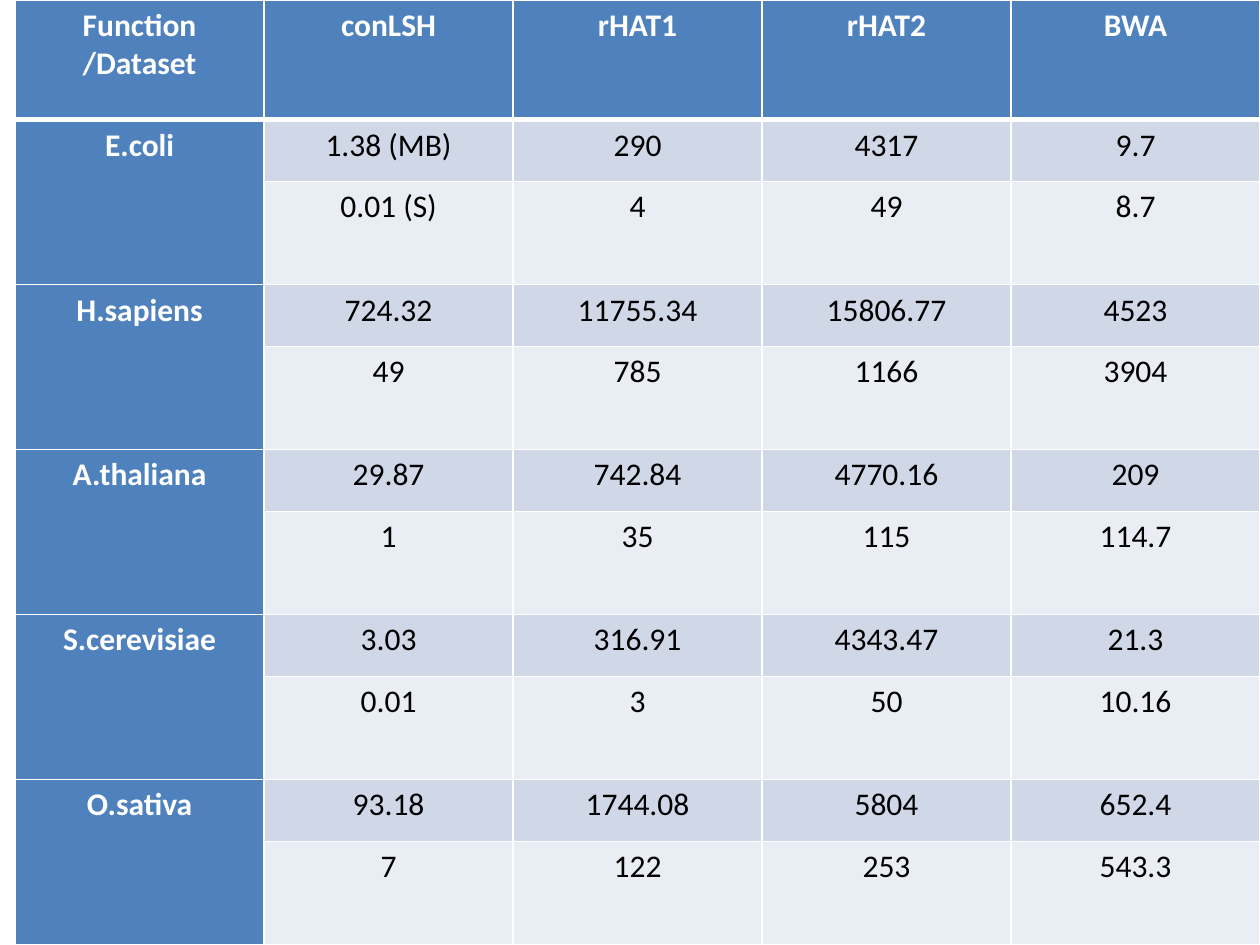
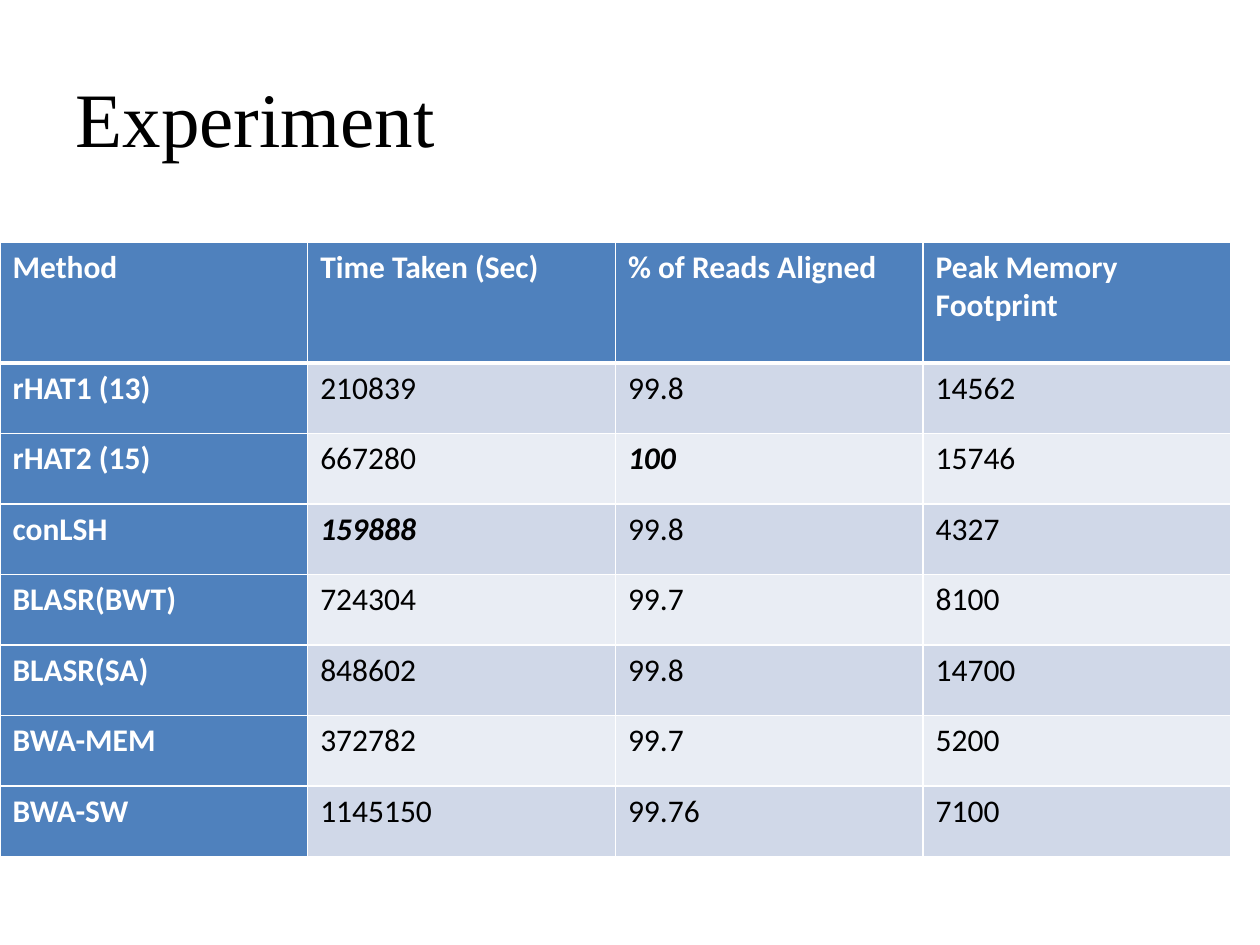
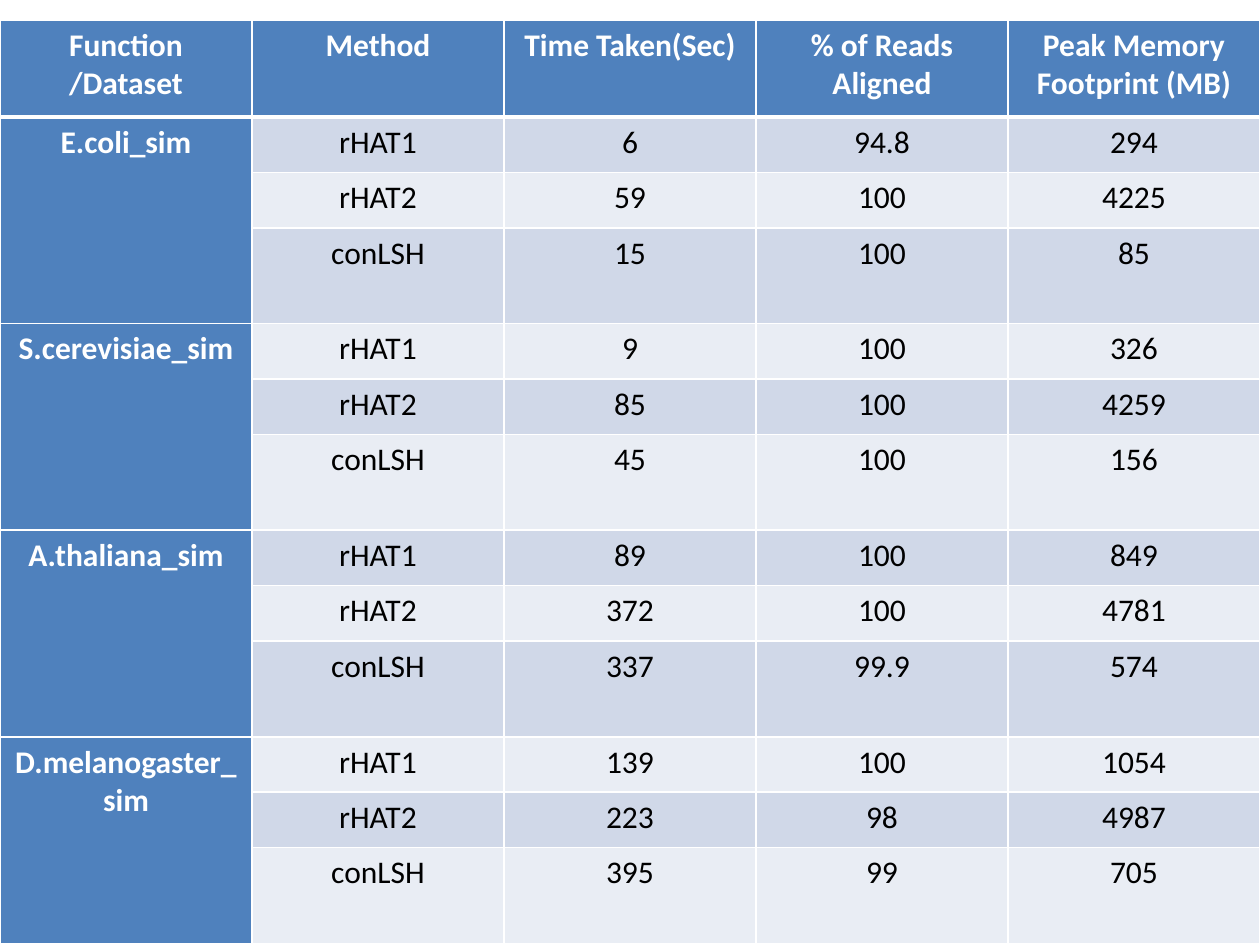
from dataclasses import dataclass

from lxml import etree
from pptx import Presentation
from pptx import util as u
from pptx.dml.color import RGBColor
from pptx.enum import text as t
from pptx.oxml import ns


@dataclass(frozen=True)
class Theme:
    head: str = "4F81BD"
    bands: tuple = ("D0D8E8", "E9EDF4")
    light: str = "FFFFFF"
    dark: str = "000000"
    sans: str = "Calibri"
    serif: str = "Times New Roman"
    body: int = 18
    title: int = 44
    thin: int = 1
    thick: int = 3


def write(frame, words, font, size, color, bold=False, slant=False, align="LEFT"):
    for i, line in enumerate(words.split("\n")):
        para = frame.add_paragraph() if i else frame.paragraphs[0]
        para.alignment = getattr(t.PP_ALIGN, align)
        run = para.add_run()
        run.text = line
        run.font.name = font
        run.font.size = u.Pt(size)
        run.font.bold = bold
        run.font.italic = slant
        run.font.color.rgb = RGBColor.from_string(color)


def border(cell, side, width, color):
    line = etree.SubElement(cell._tc.get_or_add_tcPr(), ns.qn(f"a:ln{side}"), w=str(u.Pt(width)))
    fill = etree.SubElement(line, ns.qn("a:solidFill"))
    etree.SubElement(fill, ns.qn("a:srgbClr"), val=color)


class Deck:
    def __init__(self, theme):
        self.theme = theme
        self.show = Presentation()
        self.show.slide_width = u.Inches(10)
        self.show.slide_height = u.Inches(7.5)
        self.slide = None

    def page(self, title=None):
        self.slide = self.show.slides.add_slide(self.show.slide_layouts[5 if title else 6])
        if title:
            self.head(title)

    def head(self, words):
        box = self.slide.shapes.title
        box.left, box.top = u.Inches(0.5), u.Inches(0.3)
        box.width, box.height = u.Inches(9), u.Inches(1.25)
        box.text_frame.vertical_anchor = t.MSO_ANCHOR.MIDDLE
        write(box.text_frame, words, self.theme.serif, self.theme.title, self.theme.dark)

    def cell(self, cell, words, row, key, **form):
        th = self.theme
        for side in "LRTB":
            rule = (row, side) in ((0, "B"), (1, "T"))
            border(cell, side, th.thick if rule else th.thin, th.light)
        cell.fill.solid()
        shade = th.head if key else th.bands[(row - 1) % 2]
        cell.fill.fore_color.rgb = RGBColor.from_string(shade)
        if words:
            write(cell.text_frame, words, th.sans, th.body, th.light if key else th.dark, **form)

    def table(self, left, top, width, heights, rows, span=1, align="CENTER", strong=()):
        cols = len(rows[0])
        grid = self.slide.shapes.add_table(
            len(rows), cols, u.Inches(left), u.Inches(top),
            u.Inches(width), u.Inches(sum(heights))).table
        for col in grid.columns:
            col.width = u.Inches(width / cols)
        for r, (high, row) in enumerate(zip(heights, rows)):
            grid.rows[r].height = u.Inches(high)
            for c, words in enumerate(row):
                key = r == 0 or c == 0
                mark = (r, c) in strong
                self.cell(grid.cell(r, c), words, r, key, bold=key or mark, slant=mark, align=align)
        if span > 1:
            for r in range(1, len(rows), span):
                grid.cell(r, 0).merge(grid.cell(r + span - 1, 0))


def stack(head, groups):
    rows = [head]
    for name, *lines in groups:
        rows += [[name if i == 0 else "", *line] for i, line in enumerate(lines)]
    return rows


INDEX = stack(
    ["Function\n/Dataset", "conLSH", "rHAT1", "rHAT2", "BWA"],
    [
        ("E.coli", ["1.38 (MB)", "290", "4317", "9.7"], ["0.01 (S)", "4", "49", "8.7"]),
        ("H.sapiens", ["724.32", "11755.34", "15806.77", "4523"], ["49", "785", "1166", "3904"]),
        ("A.thaliana", ["29.87", "742.84", "4770.16", "209"], ["1", "35", "115", "114.7"]),
        ("S.cerevisiae", ["3.03", "316.91", "4343.47", "21.3"], ["0.01", "3", "50", "10.16"]),
        ("O.sativa", ["93.18", "1744.08", "5804", "652.4"], ["7", "122", "253", "543.3"]),
    ])

REAL = [
    ["Method", "Time Taken (Sec)", "% of Reads Aligned", "Peak Memory Footprint"],
    ["rHAT1 (13)", "210839", "99.8", "14562"],
    ["rHAT2 (15)", "667280", "100", "15746"],
    ["conLSH", "159888", "99.8", "4327"],
    ["BLASR(BWT)", "724304", "99.7", "8100"],
    ["BLASR(SA)", "848602", "99.8", "14700"],
    ["BWA-MEM", "372782", "99.7", "5200"],
    ["BWA-SW", "1145150", "99.76", "7100"],
]

TOOLS = ("rHAT1", "rHAT2", "conLSH")
RUNS = [
    ("E.coli_sim", ["6", "94.8", "294"], ["59", "100", "4225"], ["15", "100", "85"]),
    ("S.cerevisiae_sim", ["9", "100", "326"], ["85", "100", "4259"], ["45", "100", "156"]),
    ("A.thaliana_sim", ["89", "100", "849"], ["372", "100", "4781"], ["337", "99.9", "574"]),
    ("D.melanogaster_sim", ["139", "100", "1054"], ["223", "98", "4987"], ["395", "99", "705"]),
]
SIM = stack(
    ["Function\n/Dataset", "Method", "Time Taken(Sec)", "% of Reads Aligned",
     "Peak Memory Footprint (MB)"],
    [(name, *([tool, *vals] for tool, vals in zip(TOOLS, lines))) for name, *lines in RUNS])


def main():
    deck = Deck(Theme())
    deck.page()
    deck.table(0.12, 0, 9.88, [0.95] + [0.49, 0.82] * 5, INDEX, span=2)
    deck.page("Experiment")
    deck.table(0, 1.92, 9.77, [0.96] + [0.56] * 7, REAL, align="LEFT", strong={(2, 2), (3, 1)})
    deck.page()
    deck.table(0, 0.16, 10, [0.77] + [0.44, 0.44, 0.76] * 4, SIM, span=3)
    deck.show.save("out.pptx")


if __name__ == "__main__":
    main()
